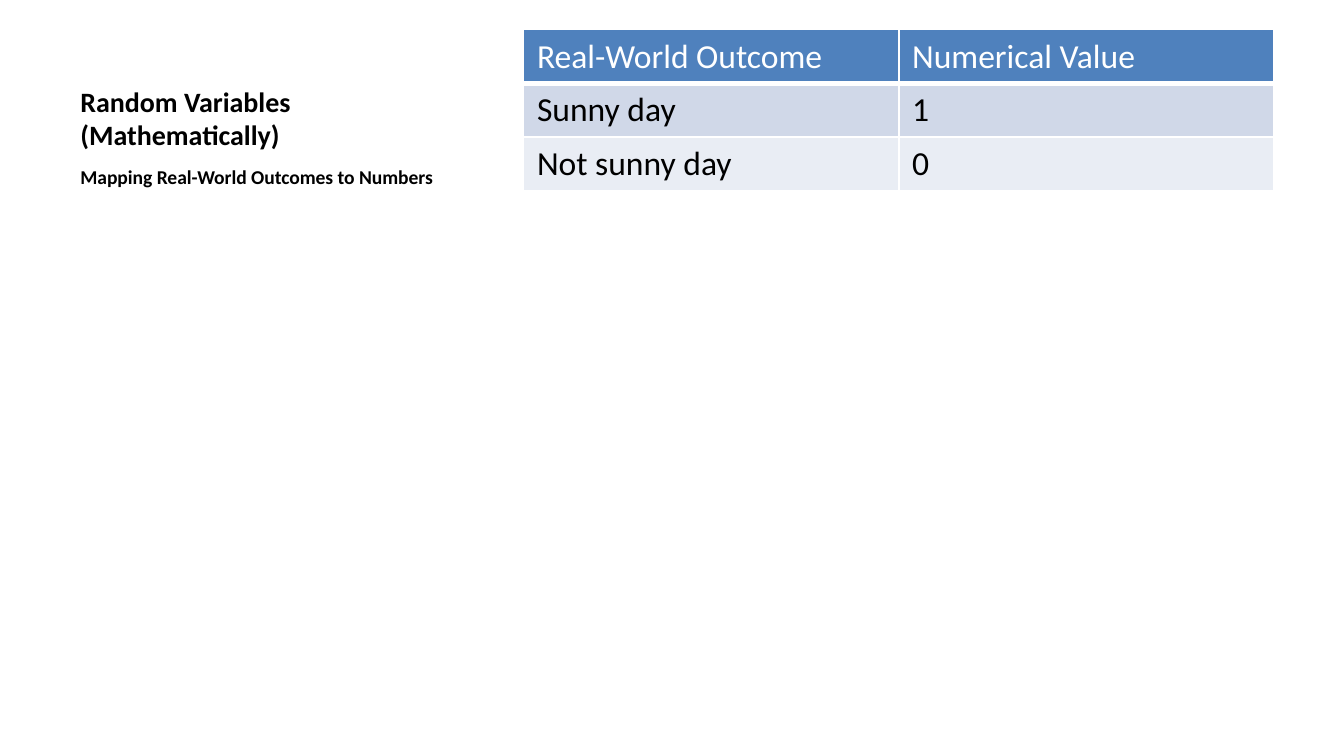
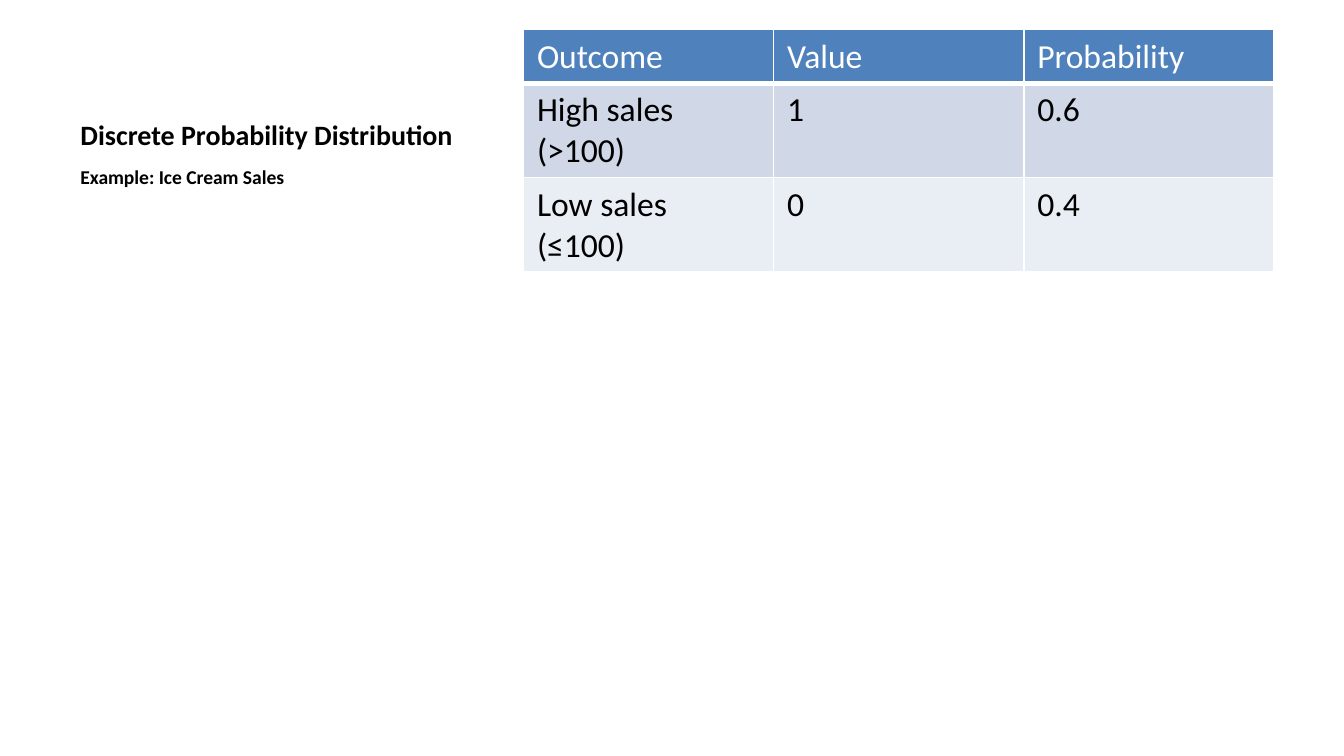
import pptx
import pptx.dml.color
import pptx.enum.text
import pptx.oxml
import pptx.oxml.ns
import pptx.util

PX = 9525  # 96 px to the inch
FONT = "Calibri"
BLACK = pptx.dml.color.RGBColor(0x00, 0x00, 0x00)
WHITE = pptx.dml.color.RGBColor(0xFF, 0xFF, 0xFF)
HEAD = pptx.dml.color.RGBColor(0x4F, 0x81, 0xBD)
BANDS = (
    pptx.dml.color.RGBColor(0xD0, 0xD8, 0xE8),
    pptx.dml.color.RGBColor(0xE9, 0xED, 0xF4),
)

TITLE = {"size": pptx.util.Pt(15), "bold": True}
NOTE = {"size": pptx.util.Pt(10.5), "bold": True}
CELL = {"size": pptx.util.Pt(18), "bold": False}

PAGES = [
    (
        "Random Variables (Mathematically)",
        "Mapping Real-World Outcomes to Numbers",
        [
            ("Real-World Outcome", "Numerical Value"),
            ("Sunny day", "1"),
            ("Not sunny day", "0"),
        ],
    ),
    (
        "Discrete Probability Distribution",
        "Example: Ice Cream Sales",
        [
            ("Outcome", "Value", "Probability"),
            ("High sales (>100)", "1", "0.6"),
            ("Low sales (≤100)", "0", "0.4"),
        ],
    ),
]


def scale(*sizes):
    """Turn px into EMU."""
    return [pptx.util.Emu(size * PX) for size in sizes]


def write(frame, text, style, color):
    run = frame.paragraphs[0].add_run()
    run.text = text
    for name, value in {"name": FONT, **style}.items():
        setattr(run.font, name, value)
    run.font.color.rgb = color


def add_text(slide, box, text, style, anchor):
    frame = slide.shapes.add_textbox(*scale(*box)).text_frame
    frame.word_wrap = True
    frame.vertical_anchor = anchor
    write(frame, text, style, BLACK)


def edge(cell, base):
    """Rule the cell in white, with a bottom line of base points."""
    props = cell._tc.get_or_add_tcPr()
    widths = {"L": 1, "R": 1, "T": 1, "B": base}
    for i, (side, width) in enumerate(widths.items()):
        line = pptx.oxml.parse_xml(
            f'<a:ln{side} {pptx.oxml.ns.nsdecls("a")} w="{pptx.util.Pt(width)}">'
            f'<a:solidFill><a:srgbClr val="{WHITE}"/></a:solidFill></a:ln{side}>'
        )
        props.insert(i, line)


def add_grid(slide, box, rows):
    """Add a banded table whose rows grow to fit their text."""
    shape = slide.shapes.add_table(len(rows), len(rows[0]), *scale(*box))
    grid = shape.table
    for i, row in enumerate(rows):
        grid.rows[i].height = 0
        fill = BANDS[(i - 1) % 2] if i else HEAD
        for j, text in enumerate(row):
            cell = grid.cell(i, j)
            cell.fill.solid()
            cell.fill.fore_color.rgb = fill
            edge(cell, 1 if i else 3)
            write(cell.text_frame, text, CELL, BLACK if i else WHITE)
    shape.height = scale(box[3])[0]


def add_page(deck, title, note, rows):
    slide = deck.slides.add_slide(deck.slide_layouts[6])
    anchor = pptx.enum.text.MSO_ANCHOR
    add_text(slide, (48, 21, 316, 92), title, TITLE, anchor.BOTTOM)
    add_text(slide, (48, 113, 316, 369), note, NOTE, anchor.TOP)
    add_grid(slide, (374, 21, 536, 460), rows)


def main():
    deck = pptx.Presentation()
    deck.slide_width, deck.slide_height = scale(960, 540)
    for page in PAGES:
        add_page(deck, *page)
    deck.save("out.pptx")


if __name__ == "__main__":
    main()
